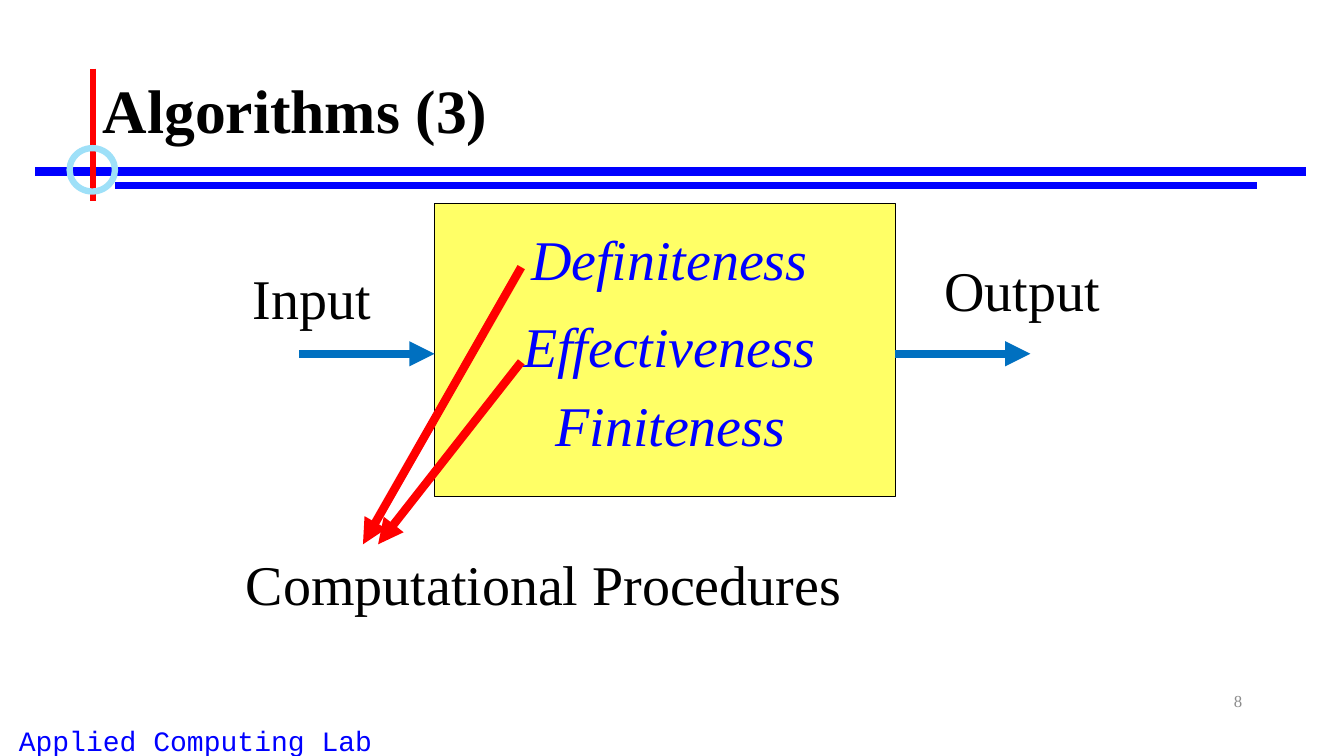
from lxml.etree import SubElement
from pptx import Presentation
from pptx.dml.color import RGBColor
from pptx.enum.shapes import MSO_CONNECTOR, MSO_SHAPE
from pptx.enum.text import MSO_ANCHOR as Anchor, PP_ALIGN as Align
from pptx.oxml.ns import qn
from pptx.util import Inches, Pt

BLACK = RGBColor(0x00, 0x00, 0x00)
GREY = RGBColor(0x8C, 0x8C, 0x8C)
BLUE = RGBColor(0x00, 0x00, 0xFF)
RED = RGBColor(0xFF, 0x00, 0x00)
SKY = RGBColor(0x9E, 0xE0, 0xF8)
STEEL = RGBColor(0x00, 0x70, 0xC0)
YELLOW = RGBColor(0xFF, 0xFF, 0x66)
SERIF, MONO = "Times New Roman", "Courier New"

SLIDE_W, SLIDE_H = 13.33, 7.5
LABEL_H = 0.77
BOX = (4.31, 2.02, 4.57, 2.91)
RING = (0.69, 1.47, 0.45, 0.43)
FLOW_Y, FLOW_LEN = 3.51, 1.34

# text, left, top, width
LABELS = [
    ("Input", 2.41, 2.57, 1.37),
    ("Output", 9.27, 2.49, 1.74),
    ("Computational Procedures", 2.34, 5.4, 6.11),
]
PROPERTIES = [
    ("Definiteness", 5.17, 2.18, 3.04),
    ("Effectiveness", 5.09, 3.04, 3.23),
    ("Finiteness", 5.41, 3.83, 2.58),
]
# start, end, colour, weight
RULES = [
    ((0.35, 1.7), (12.95, 1.7), BLUE, 6),
    ((1.14, 1.84), (12.47, 1.84), BLUE, 4.5),
    ((0.92, 0.68), (0.92, 1.99), RED, 4.5),
]
FLOW_ARROWS = [
    ((x, FLOW_Y), (x + FLOW_LEN, FLOW_Y), STEEL, 6)
    for x in (BOX[0] - FLOW_LEN, BOX[0] + BOX[2])
]
PROCEDURE_ARROWS = [
    ((5.17, 2.65), (3.6, 5.4), RED, 6),
    ((5.17, 3.59), (3.75, 5.4), RED, 6),
]


def add_text(slide, text, at, size, color, font=SERIF, bold=False, italic=False,
             align=Align.LEFT, anchor=Anchor.TOP, wrap=True, spacing=1.0):
    tf = slide.shapes.add_textbox(*map(Inches, at)).text_frame
    tf.word_wrap = wrap
    tf.vertical_anchor = anchor
    p = tf.paragraphs[0]
    p.alignment = align
    p.line_spacing = spacing
    r = p.add_run()
    r.text = text
    f = r.font
    f.name, f.size, f.bold, f.italic = font, Pt(size), bold, italic
    f.color.rgb = color


def add_line(slide, start, end, color, weight, arrow=False):
    line = slide.shapes.add_connector(
        MSO_CONNECTOR.STRAIGHT, *map(Inches, start + end))
    line.line.color.rgb = color
    line.line.width = Pt(weight)
    if arrow:
        SubElement(line.line._get_or_add_ln(), qn("a:tailEnd"), type="triangle")
    SubElement(line._element.spPr, qn("a:effectLst"))


def add_outline(slide, kind, at, color, weight, fill=None):
    sp = slide.shapes.add_shape(kind, *map(Inches, at))
    sp.shadow.inherit = False
    sp.line.color.rgb = color
    sp.line.width = Pt(weight)
    if fill is None:
        sp.fill.background()
    else:
        sp.fill.solid()
        sp.fill.fore_color.rgb = fill


def main():
    prs = Presentation()
    prs.slide_width, prs.slide_height = Inches(SLIDE_W), Inches(SLIDE_H)
    s = prs.slides.add_slide(prs.slide_layouts[6])

    add_text(s, "Applied Computing Lab", (-0.58, 7.13, 5.04, 0.43), 20, BLUE,
             font=MONO, align=Align.CENTER)
    for rule in RULES:
        add_line(s, *rule)
    add_outline(s, MSO_SHAPE.OVAL, RING, SKY, 4.5)
    add_text(s, "8", (9.42, 6.75, 3, 0.4), 12, GREY,
             align=Align.RIGHT, anchor=Anchor.MIDDLE)
    add_text(s, "Algorithms (3)", (0.92, 0.4, 11.5, 1.45), 44, BLACK,
             bold=True, anchor=Anchor.MIDDLE, spacing=0.9)

    add_outline(s, MSO_SHAPE.RECTANGLE, BOX, BLACK, 0.75, YELLOW)
    for labels, color, italic in ((LABELS, BLACK, False), (PROPERTIES, BLUE, True)):
        for text, *at in labels:
            add_text(s, text, (*at, LABEL_H), 40, color, italic=italic, wrap=False)
    for arrow in FLOW_ARROWS + PROCEDURE_ARROWS:
        add_line(s, *arrow, arrow=True)

    prs.save("out.pptx")


if __name__ == "__main__":
    main()
